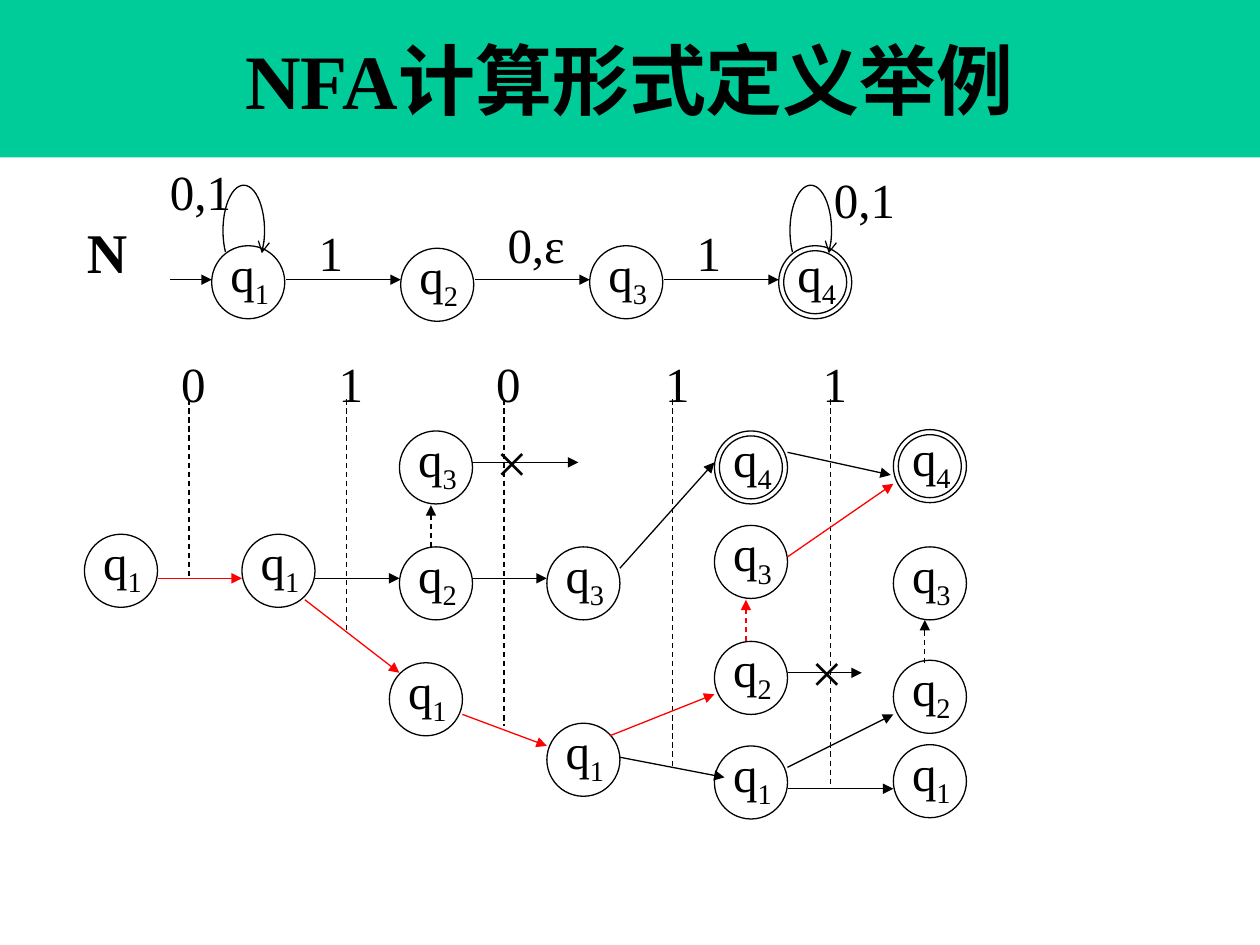
from dataclasses import dataclass
from math import cos, radians, sin

from lxml.etree import SubElement as Sub
from pptx import Presentation
from pptx.dml.color import RGBColor as RGB
from pptx.enum.dml import MSO_LINE as Dash
from pptx.enum.shapes import MSO_CONNECTOR as Conn, MSO_SHAPE as Shape
from pptx.enum.text import MSO_ANCHOR as Anchor, MSO_AUTO_SIZE as Fit, PP_ALIGN as Align
from pptx.oxml.ns import qn
from pptx.util import Inches, Pt


@dataclass(frozen=True)
class Theme:
    """Colours, font and sizes of the slide."""
    ink: RGB = RGB(0, 0, 0)
    red: RGB = RGB(255, 0, 0)
    band: RGB = RGB(0, 0xCC, 0x99)
    font: str = "Times New Roman"
    head: int = 44
    big: int = 32
    body: int = 28
    line: float = 0.75
    state: float = 0.58
    ring: float = 0.5


T = Theme()

MACHINE = [(1, 1.68, 1.95), (2, 3.18, 1.97), (3, 4.68, 1.95), (4, 6.18, 1.95)]
TREE = [
    (1, 0.67, 4.24), (1, 1.92, 4.24),
    (3, 3.17, 3.42), (2, 3.17, 4.34), (1, 3.09, 5.26),
    (3, 4.34, 4.34), (1, 4.34, 5.74),
    (4, 5.67, 3.42), (3, 5.67, 4.17), (2, 5.67, 5.09), (1, 5.67, 5.92),
    (4, 7.09, 3.41), (3, 7.09, 4.34), (2, 7.09, 5.24), (1, 7.09, 5.91),
]
STEPS = [
    (1.35, 2.22, 1.68, 2.22), (2.27, 2.22, 3.18, 2.22),
    (3.77, 2.22, 4.68, 2.22), (5.27, 2.22, 6.18, 2.22),
    (2.5, 4.59, 3.17, 4.59), (3.75, 3.67, 4.59, 3.67),
    (3.75, 4.59, 4.34, 4.59), (4.92, 6.01, 5.75, 6.17),
    (4.92, 4.51, 5.67, 3.67), (6.25, 5.34, 6.84, 5.34),
    (6.25, 6.26, 7.09, 6.26), (6.25, 6.09, 7.09, 5.67),
    (6.25, 3.59, 7.07, 3.77),
]
RED_STEPS = [
    (1.25, 4.59, 1.92, 4.59), (2.42, 4.76, 3.17, 5.34),
    (3.67, 5.67, 4.34, 5.92), (4.84, 5.84, 5.67, 5.51),
    (6.25, 4.42, 7.09, 3.84),
]
JUMPS = [
    (3.42, 4.34, 4.01, T.ink), (5.92, 5.09, 4.76, T.red), (7.34, 5.26, 4.92, T.ink),
]
INPUTS = [
    ("0", 1.5, 4.59), ("1", 2.75, 5.01), ("0", 4, 5.76), ("1", 5.34, 6.09), ("1", 6.59, 6.26),
]
LABELS = [
    ("0,1", 1.25, 1.23, 0.69), ("1", 2.43, 1.72, 0.4), ("0,ε", 3.93, 1.65, 0.66),
    ("1", 5.43, 1.72, 0.4), ("0,1", 6.52, 1.3, 0.69),
]
CROSSES = [(3.84, 3.34), (6.34, 5.01)]


def style(para, size, bold=False):
    """Set the font of a paragraph."""
    font = para.font
    font.name, font.size, font.bold = T.font, Pt(size), bold
    font.color.rgb = T.ink


def title(slide, text):
    """Fill the title band."""
    box = slide.shapes.title
    box.left, box.top, box.width, box.height = (Inches(v) for v in (0, 0, 10, 1.25))
    box.fill.solid()
    box.fill.fore_color.rgb = T.band
    frame = box.text_frame
    frame.text, frame.vertical_anchor = text, Anchor.MIDDLE
    para = frame.paragraphs[0]
    para.alignment = Align.CENTER
    style(para, T.head, True)


def label(slide, text, x, y, w, size=T.body, bold=False, sub=None):
    """Add a one-line text with an optional subscript."""
    high = 0.57 if size == T.body else 0.63
    box = slide.shapes.add_textbox(Inches(x), Inches(y), Inches(w), Inches(high))
    frame = box.text_frame
    frame.word_wrap, frame.auto_size = False, Fit.SHAPE_TO_FIT_TEXT
    para = frame.paragraphs[0]
    para.add_run().text = text
    if sub:
        run = para.add_run()
        run.text = str(sub)
        run._r.get_or_add_rPr().set("baseline", "-25000")
    style(para, size, bold)


def outline(shape, color=T.ink):
    """Draw a shape as a thin line only."""
    shape.shadow.inherit = False
    shape.fill.background()
    shape.line.color.rgb, shape.line.width = color, Pt(T.line)


def circle(slide, x, y, size):
    """Add an empty circle."""
    shape = slide.shapes.add_shape(Shape.OVAL, *(Inches(v) for v in (x, y, size, size)))
    outline(shape)


def state(slide, num, x, y):
    """Add a state, with a second ring when it accepts."""
    circle(slide, x, y, T.state)
    if num == 4:
        gap = (T.state - T.ring) / 2
        circle(slide, x + gap, y + gap, T.ring)
    label(slide, "q", x + 0.05, y - 0.07, 0.53, sub=num)


def tip(shape, kind):
    """Put an arrowhead at the end of a line."""
    Sub(shape._element.spPr.find(qn("a:ln")), qn("a:tailEnd"), type=kind)


def link(slide, ends, color=T.ink, dash=False, arrow=True):
    """Add a straight line or arrow."""
    line = slide.shapes.add_connector(Conn.STRAIGHT, *(Inches(v) for v in ends))
    line.line.color.rgb, line.line.width = color, Pt(T.line)
    if dash:
        line.line.dash_style = Dash.DASH
    if arrow:
        tip(line, "triangle")
    Sub(line._element.spPr, qn("a:effectLst"))


def loop(slide, x, y):
    """Add a self-loop around the centre x, y."""
    dots = [
        (Inches(x + 0.165 * cos(radians(a))), Inches(y + 0.36 * sin(radians(a))))
        for a in range(152, 391, 7)
    ]
    path = slide.shapes.build_freeform(*dots[0])
    path.add_line_segments(dots[1:], close=False)
    shape = path.convert_to_shape()
    outline(shape)
    tip(shape, "arrow")


def main():
    """Build and save the slide."""
    deck = Presentation()
    deck.slide_width, deck.slide_height = Inches(10), Inches(7.5)
    slide = deck.slides.add_slide(deck.slide_layouts[5])
    title(slide, "NFA计算形式定义举例")
    label(slide, "N", 0.59, 1.68, 0.52, T.big, True)
    for item in MACHINE + TREE:
        state(slide, *item)
    for x in (1.935, 6.435):
        loop(slide, x, 1.83)
    for item in LABELS:
        label(slide, *item)
    for text, x, end in INPUTS:
        link(slide, (x, 3.17, x, end), dash=True, arrow=False)
        label(slide, text, x - 0.16, 2.76, 0.4)
    for ends in STEPS:
        link(slide, ends)
    for ends in RED_STEPS:
        link(slide, ends, T.red)
    for x, start, end, color in JUMPS:
        link(slide, (x, start, x, end), color, dash=True)
    for x, y in CROSSES:
        label(slide, "×", x, y, 0.65, T.big)
    deck.save("out.pptx")


if __name__ == "__main__":
    main()
